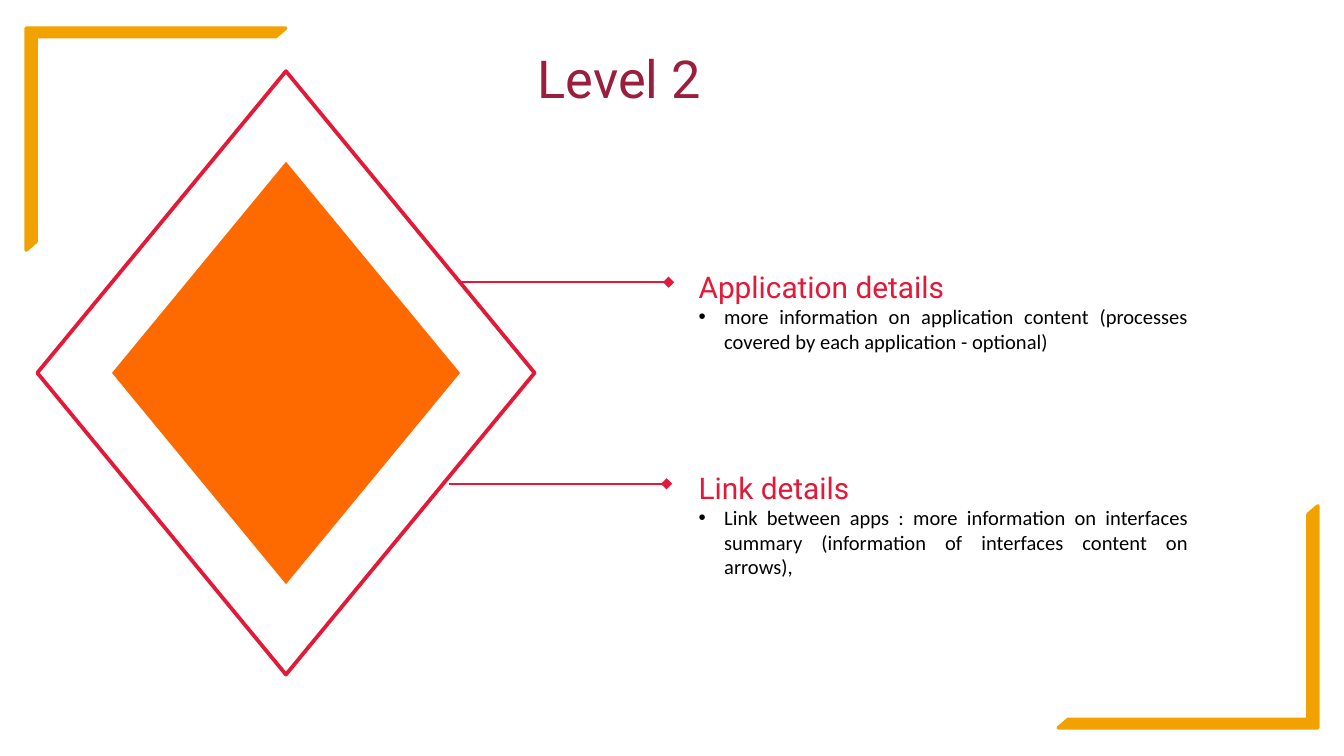
import pptx
import pptx.util
import pptx.dml.color
import pptx.enum.shapes
import pptx.enum.text
import pptx.oxml.ns

WIDTH = 10
HEIGHT = WIDTH * 9 / 16
COLORS = {
    "frame": "F2A200",
    "accent": "E31937",
    "diamond": "FF6A00",
    "background": "FFFFFF",
    "title": "991F3D",
    "body": "000000",
}
SHAPES = pptx.enum.shapes.MSO_SHAPE
ALIGN = pptx.enum.text.PP_ALIGN


def color(name):
    return pptx.dml.color.RGBColor.from_string(COLORS[name])


def across(percent):
    return pptx.util.Inches(WIDTH * percent / 100)


def down(percent):
    return pptx.util.Inches(HEIGHT * percent / 100)


def place(left, top, width, height):
    return across(left), down(top), across(width), down(height)


def append_element(parent, name, **attributes):
    parent.append(parent.makeelement(pptx.oxml.ns.qn(name), attributes))


def add_filled_shape(shapes, kind, area, fill, line=None):
    shape = shapes.add_shape(kind, *place(*area))
    shape.shadow.inherit = False
    shape.fill.solid()
    shape.fill.fore_color.rgb = color(fill)
    if line:
        shape.line.color.rgb = color(line)
        shape.line.width = pptx.util.Pt(2)
    else:
        shape.line.fill.background()
    return shape


def add_corner_frames(slide):
    left, top, width, height = 1.95, 3.73, 19.3, 29.33
    opposite = (100 - left - width, 100 - top - height)
    for corner, rotation in (((left, top), 0), (opposite, 180)):
        frame = add_filled_shape(slide.shapes, SHAPES.HALF_FRAME,
                                 (*corner, width, height), "frame", "frame")
        frame.adjustments[0] = 3.8 / 100
        frame.adjustments[1] = 4.4 / 100
        frame.rotation = rotation


def add_pointer(slide, start, end, row):
    connector = slide.shapes.add_connector(
        pptx.enum.shapes.MSO_CONNECTOR.STRAIGHT,
        across(start), down(row), across(end), down(row))
    connector.line.color.rgb = color("accent")
    connector.line.width = pptx.util.Pt(0.75)
    append_element(connector.line._get_or_add_ln(), "a:tailEnd", type="diamond")
    append_element(connector._element.spPr, "a:effectLst")


def add_nested_diamonds(slide):
    group = slide.shapes.add_group_shape()
    left, top, width, height = 2.78, 9.42, 37, 79.82
    share = 0.7
    margin = (1 - share) / 2
    add_filled_shape(group.shapes, SHAPES.DIAMOND,
                     (left, top, width, height), "background", "accent")
    add_filled_shape(group.shapes, SHAPES.DIAMOND,
                     (left + margin * width, top + margin * height,
                      share * width, share * height), "diamond")


def add_text_frame(slide, area):
    frame = slide.shapes.add_textbox(*place(*area)).text_frame
    frame.word_wrap = True
    frame.auto_size = pptx.enum.text.MSO_AUTO_SIZE.SHAPE_TO_FIT_TEXT
    return frame


def add_run(paragraph, text, font, size, fill):
    run = paragraph.add_run()
    run.text = text
    run.font.name = font
    run.font.size = pptx.util.Pt(size)
    run.font.color.rgb = color(fill)


def add_bullet(paragraph):
    properties = paragraph._p.get_or_add_pPr()
    indent = pptx.util.Inches(0.19)
    properties.set("marL", str(indent))
    properties.set("indent", str(-indent))
    append_element(properties, "a:buFont", typeface="Arial")
    append_element(properties, "a:buChar", char="•")


def add_detail(slide, top, height, heading, heading_alignment, description, level):
    frame = add_text_frame(slide, (51, top, 38.4, height))
    heading_paragraph = frame.paragraphs[0]
    heading_paragraph.alignment = heading_alignment
    add_run(heading_paragraph, heading, "Roboto", 16, "accent")
    paragraph = frame.add_paragraph()
    paragraph.alignment = ALIGN.JUSTIFY
    paragraph.level = level
    add_bullet(paragraph)
    add_run(paragraph, description, "Calibri", 11, "body")


def add_title(slide, text):
    paragraph = add_text_frame(slide, (2.78, 5.2, 86.6, 10.13)).paragraphs[0]
    paragraph.alignment = ALIGN.CENTER
    add_run(paragraph, text, "Roboto", 28, "title")


def main():
    presentation = pptx.Presentation()
    presentation.slide_width = pptx.util.Inches(WIDTH)
    presentation.slide_height = pptx.util.Inches(HEIGHT)
    slide = presentation.slides.add_slide(presentation.slide_layouts[6])
    add_corner_frames(slide)
    add_pointer(slide, 24.8, 49.75, 37.33)
    add_pointer(slide, 33.4, 49.6, 64)
    add_nested_diamonds(slide)
    add_detail(slide, 34.67, 13.16, "Application details", ALIGN.JUSTIFY,
               "more information on application content "
               "(processes covered by each application - optional)", 0)
    add_detail(slide, 61.2, 16.53, "Link details", ALIGN.LEFT,
               "Link between apps : more information on interfaces summary "
               "(information of interfaces content on arrows),", 1)
    add_title(slide, "Level 2")
    presentation.save("out.pptx")


if __name__ == "__main__":
    main()
